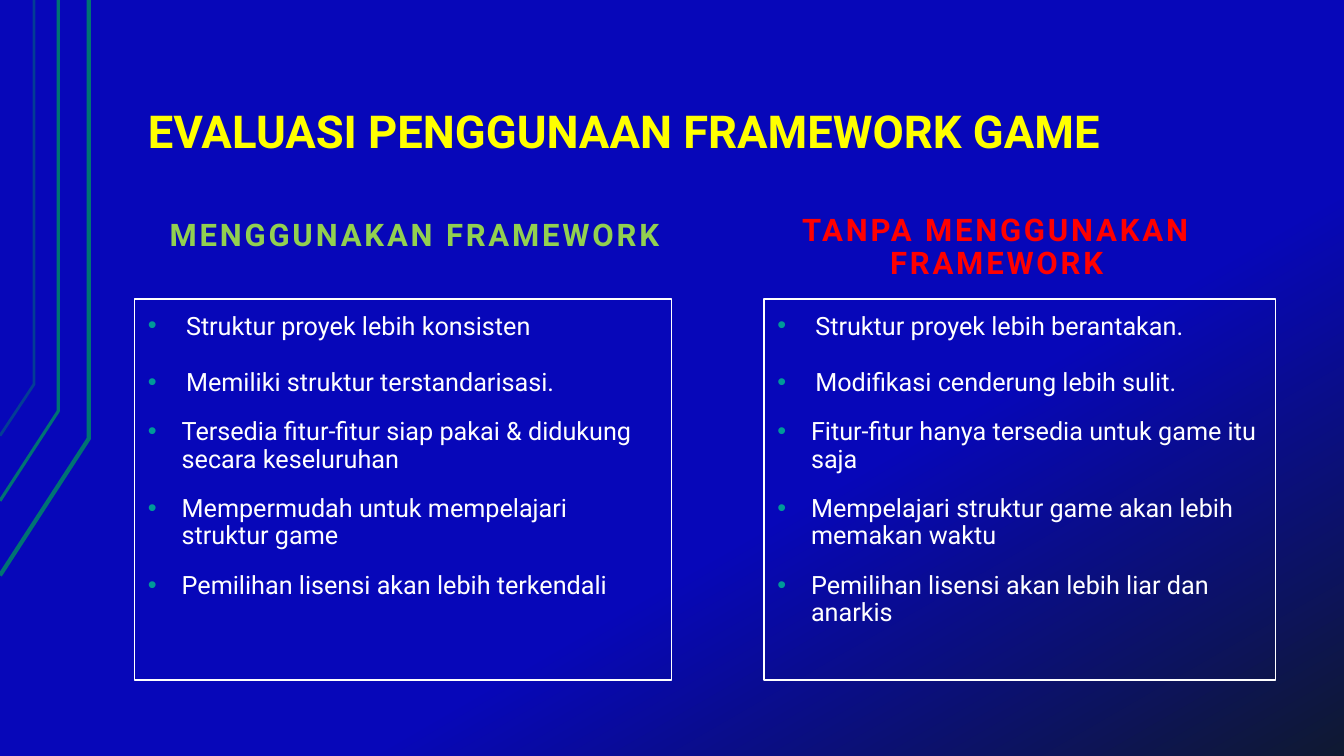
from lxml.etree import SubElement
from pptx import Presentation
from pptx.dml.color import RGBColor
from pptx.enum.shapes import MSO_SHAPE
from pptx.enum.text import MSO_ANCHOR, PP_ALIGN
from pptx.oxml.ns import qn
from pptx.util import Cm, Pt

# Content
TITLE = "EVALUASI PENGGUNAAN FRAMEWORK GAME"
COLUMNS = [
    {
        "heading": "MENGGUNAKAN FRAMEWORK", "color": "92D050",
        "heading_box": (3.39, 4.72, 14.12, 1.83),
        "list_box": (3.39, 7.54, 13.54, 9.6),
        "points": [
            "Struktur proyek lebih konsisten",
            "Memiliki struktur terstandarisasi.",
            "Tersedia fitur-fitur siap pakai & didukung secara keseluruhan",
            "Mempermudah untuk mempelajari struktur game",
            "Pemilihan lisensi akan lebih terkendali",
        ],
    },
    {
        "heading": "TANPA MENGGUNAKAN FRAMEWORK", "color": "FF0000",
        "heading_box": (18.06, 4.72, 14.12, 2.54),
        "list_box": (19.25, 7.54, 12.9, 9.6),
        "points": [
            "Struktur proyek lebih berantakan.",
            "Modifikasi cenderung lebih sulit.",
            "Fitur-fitur hanya tersedia untuk game itu saja",
            "Mempelajari struktur game akan lebih memakan waktu",
            "Pemilihan lisensi akan lebih liar dan anarkis",
        ],
    },
]
# Corner lines: x, bend y, y at the left edge (cm), width (pt), opacity (%)
CORNER_LINES = [
    (2.24, 11.05, 14.5, 3, 100),
    (1.47, 10.36, 12.62, 2.25, 100),
    (0.86, 9.68, 10.98, 2, 50),
]
BACKGROUND_STOPS = [(0.63, "0707B9"), (1.0, "0F1931")]
TEAL, BULLET_TEAL, WHITE, YELLOW = "007373", "009999", "FFFFFF", "FFFF00"
FONT = "Roboto"
LOOSE_LINES, TIGHT_LINES = 1.13, 0.9
LOOSE_COUNT = 2  # leading points with looser lines and a wider indent


def rgb(value):
    return RGBColor.from_string(value)


def add_bullet(paragraph, indent):
    properties = paragraph._p.get_or_add_pPr()
    properties.set("marL", str(Cm(indent)))
    properties.set("indent", str(-Cm(indent)))
    color = SubElement(properties, qn("a:buClr"))
    SubElement(color, qn("a:srgbClr"), val=BULLET_TEAL)
    SubElement(properties, qn("a:buFont"), typeface="Arial")
    SubElement(properties, qn("a:buChar"), char="•")


def add_text(paragraph, text, size=18, color=WHITE, bold=False, spacing=0,
             align=PP_ALIGN.LEFT, lines=TIGHT_LINES, before=0, indent=None):
    paragraph.alignment = align
    paragraph.line_spacing = lines
    paragraph.space_before = Pt(before)
    if indent is not None:
        add_bullet(paragraph, indent)
    run = paragraph.add_run()
    run.text = text
    run.font.name = FONT
    run.font.size = Pt(size)
    run.font.bold = bold
    run.font.color.rgb = rgb(color)
    if spacing:
        run._r.get_or_add_rPr().set("spc", str(spacing * 100))


def prepare_frame(shape, anchor):
    frame = shape.text_frame
    frame.word_wrap = True
    frame.vertical_anchor = anchor
    frame.margin_left = frame.margin_right = Cm(0.34)
    frame.margin_top = frame.margin_bottom = Cm(0.17)
    return frame


def add_heading(slide, box, text, **text_format):
    shape = slide.shapes.add_textbox(*map(Cm, box))
    frame = prepare_frame(shape, MSO_ANCHOR.BOTTOM)
    add_text(frame.paragraphs[0], text, bold=True, **text_format)


def add_list(slide, box, points):
    shape = slide.shapes.add_shape(MSO_SHAPE.RECTANGLE, *map(Cm, box))
    shape.shadow.inherit = False
    shape.fill.background()
    shape.line.color.rgb = rgb(WHITE)
    shape.line.width = Pt(1)
    frame = prepare_frame(shape, MSO_ANCHOR.TOP)
    for index, point in enumerate(points):
        paragraph = frame.add_paragraph() if index else frame.paragraphs[0]
        loose = index < LOOSE_COUNT
        add_text(paragraph, point, before=16 if index else 0,
                 lines=LOOSE_LINES if loose else TIGHT_LINES,
                 indent=0.96 if loose else 0.85)


def add_corner_line(slide, x, bend, edge, width, opacity):
    builder = slide.shapes.build_freeform(0, Cm(edge))
    builder.add_line_segments([(Cm(x), Cm(bend)), (Cm(x), 0)], close=False)
    shape = builder.convert_to_shape()
    shape.shadow.inherit = False
    shape.fill.background()
    shape.line.color.rgb = rgb(TEAL)
    shape.line.width = Pt(width)
    if opacity < 100:
        color = shape.line._ln.find(".//" + qn("a:srgbClr"))
        SubElement(color, qn("a:alpha"), val=str(opacity * 1000))


def main():
    presentation = Presentation()
    presentation.slide_width = Cm(33.87)
    presentation.slide_height = Cm(19.05)
    slide = presentation.slides.add_slide(presentation.slide_layouts[6])

    # Background
    fill = slide.background.fill
    fill.gradient()
    fill.gradient_angle = 300
    for stop, (position, color) in zip(fill.gradient_stops, BACKGROUND_STOPS):
        stop.position = position
        stop.color.rgb = rgb(color)

    # Corner lines
    for corner_line in CORNER_LINES:
        add_corner_line(slide, *corner_line)

    # Title and the two columns
    add_heading(slide, (3.39, 1.63, 28.78, 2.54), TITLE, size=32.4, color=YELLOW)
    for column in COLUMNS:
        add_heading(slide, column["heading_box"], column["heading"], size=22.2,
                    color=column["color"], spacing=2, align=PP_ALIGN.CENTER)
        add_list(slide, column["list_box"], column["points"])

    presentation.save("out.pptx")


if __name__ == "__main__":
    main()
